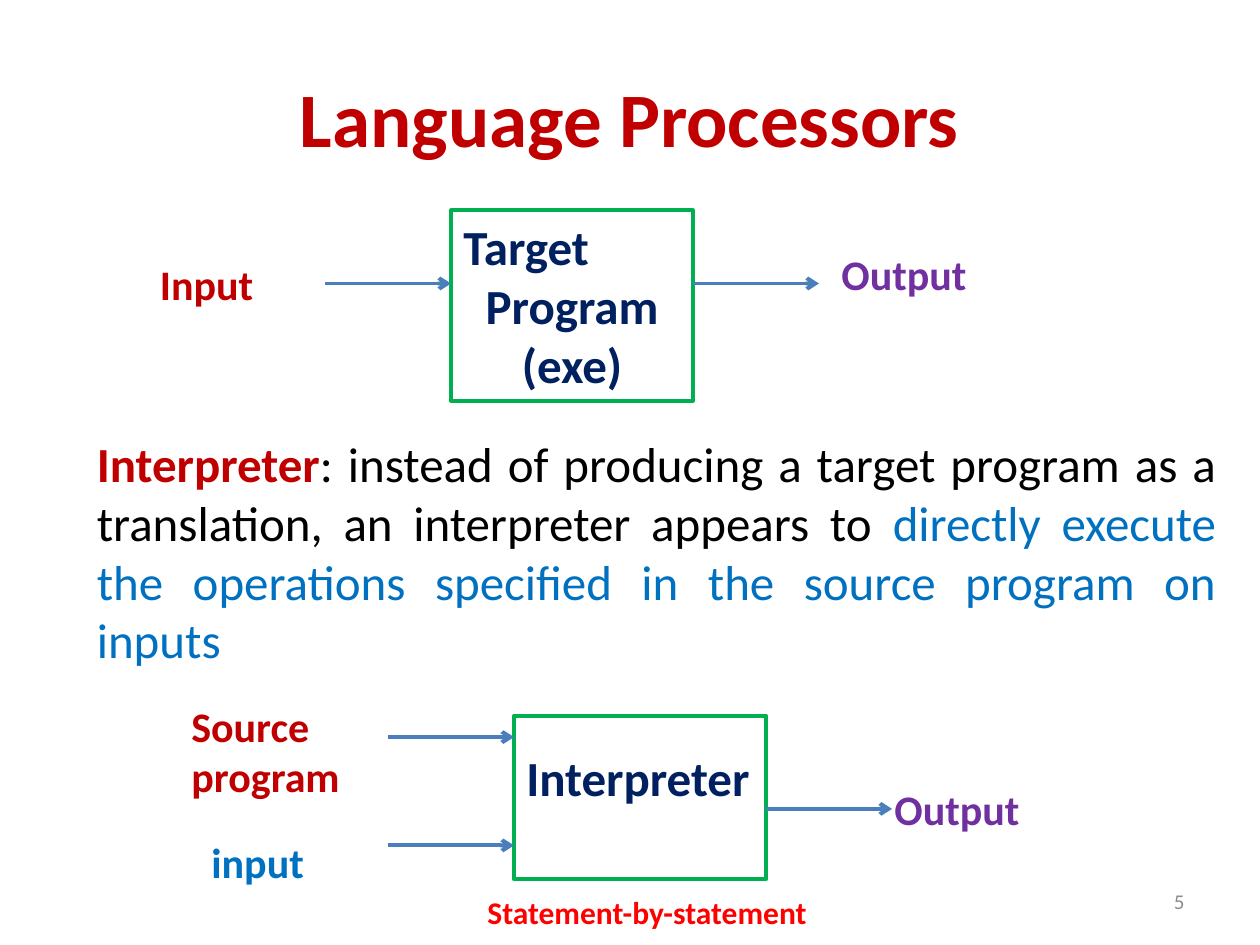
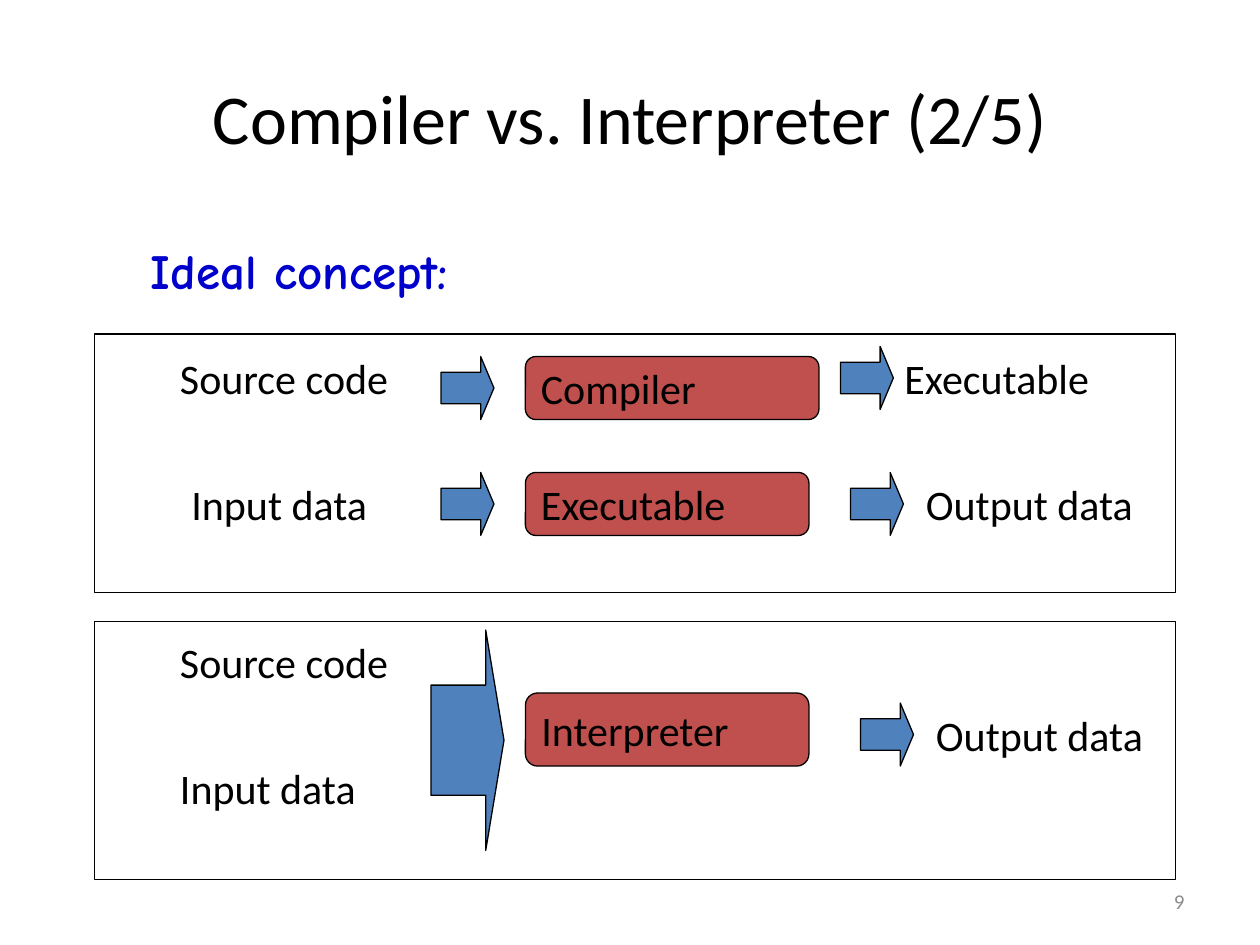
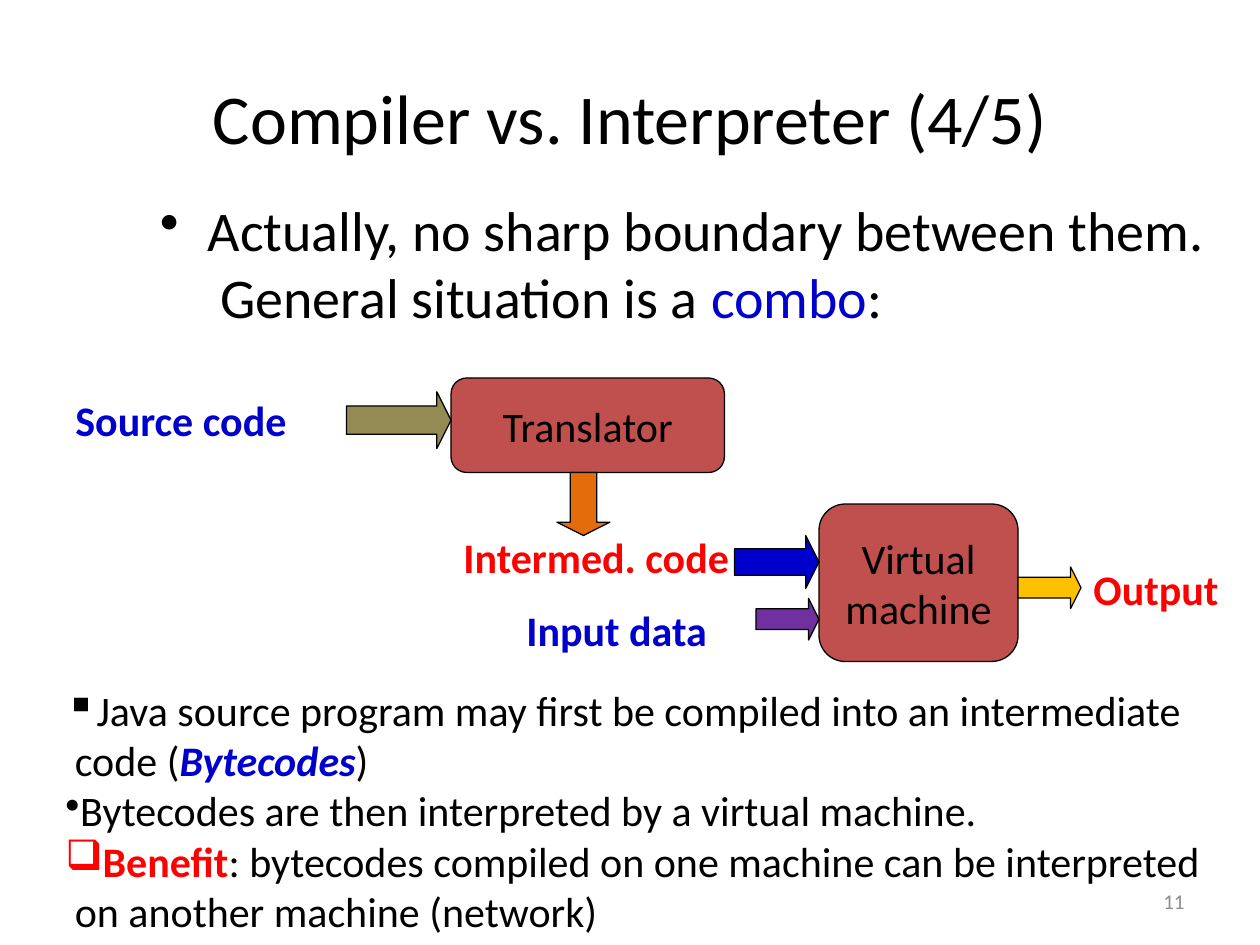
from lxml import etree
from pptx import Presentation
from pptx.dml.color import RGBColor
from pptx.enum.shapes import MSO_CONNECTOR, MSO_SHAPE as SHAPE
from pptx.enum.text import MSO_ANCHOR as ANCHOR, PP_ALIGN as ALIGN
from pptx.oxml.ns import qn
from pptx.util import Inches, Pt

COLORS = {
    "black": "000000", "gray": "8C8C8C", "dark_red": "C00000", "red": "FF0000",
    "navy": "002060", "blue": "0070C0", "royal": "0000CC", "purple": "7030A0",
    "green": "00B050", "line_blue": "4B7EBC", "arrow_blue": "4F81BD",
    "brick": "C0504D", "olive": "948A54", "orange": "E46C0A", "amber": "FFC000",
}


def rgb(name):
    """Return the named colour."""
    return RGBColor.from_string(COLORS[name])


class Deck:
    """Holds the presentation, its style and the current slide."""

    def __init__(self):
        """Start an empty 10 by 7.5 inch presentation."""
        self.prs = Presentation()
        self.prs.slide_width, self.prs.slide_height = Inches(10), Inches(7.5)
        self.s = None

    def slide(self, title, number, size=40, color="black", bold=False):
        """Add a slide with its title and page number."""
        self.s = self.prs.slides.add_slide(self.prs.slide_layouts[6])
        self.text(0.5, 0.3, 9, 1.25, [title], size, color, bold,
                  align=ALIGN.CENTER, anchor=ANCHOR.MIDDLE)
        self.text(7.17, 6.95, 2.33, 0.4, [str(number)], 12, "gray",
                  align=ALIGN.RIGHT, anchor=ANCHOR.MIDDLE)

    def set_text(self, sp, paragraphs, size=24, color="black", bold=False,
                 align=ALIGN.LEFT, anchor=ANCHOR.TOP, wrap=True, font="Calibri"):
        """Fill a shape with paragraphs: strings, or lists of (text, style) runs."""
        tf = sp.text_frame
        tf.word_wrap, tf.vertical_anchor = wrap, anchor
        for i, runs in enumerate(paragraphs):
            p = tf.paragraphs[0] if i == 0 else tf.add_paragraph()
            p.alignment = align
            p.font.name, p.font.size, p.font.bold = font, Pt(size), bold
            p.font.color.rgb = rgb(color)
            for text, style in [(runs, {})] if isinstance(runs, str) else runs:
                if text == "\n":
                    p.add_line_break()
                    continue
                r = p.add_run()
                r.text = text
                if "color" in style:
                    r.font.color.rgb = rgb(style["color"])
                if "bold" in style:
                    r.font.bold = style["bold"]
                if "italic" in style:
                    r.font.italic = style["italic"]
        return tf

    def text(self, x, y, w, h, paragraphs, *args, **style):
        """Add a text box."""
        sp = self.s.shapes.add_textbox(Inches(x), Inches(y), Inches(w), Inches(h))
        return self.set_text(sp, paragraphs, *args, **style)

    def label(self, x, y, w, text, color="black", bold=False, wrap=True):
        """Add a one-line diagram label."""
        self.text(x, y, w, 0.5, [text], 24, color, bold, wrap=wrap)

    def shape(self, kind, x, y, w, h, fill=None, line="black", width=0.75):
        """Add a preset shape; without a fill colour it is see-through."""
        sp = self.s.shapes.add_shape(kind, Inches(x), Inches(y), Inches(w), Inches(h))
        sp.shadow.inherit = False
        if fill:
            sp.fill.solid()
            sp.fill.fore_color.rgb = rgb(fill)
        else:
            sp.fill.background()
        sp.line.color.rgb, sp.line.width = rgb(line), Pt(width)
        return sp

    def frame(self, x, y, w, h, paragraphs):
        """Add a green outlined box with navy text."""
        sp = self.shape(SHAPE.RECTANGLE, x, y, w, h, line="green", width=2.25)
        return self.set_text(sp, paragraphs, 28, "navy", True)

    def stage(self, x, y, w, h, paragraphs, align=ALIGN.LEFT):
        """Add a rounded processing stage."""
        sp = self.shape(SHAPE.ROUNDED_RECTANGLE, x, y, w, h, "brick")
        self.set_text(sp, paragraphs, align=align, anchor=ANCHOR.MIDDLE)

    def block_arrow(self, x, y, w=0.42, h=0.5, fill="arrow_blue", rotation=0):
        """Add a block arrow that points right before rotation."""
        sp = self.shape(SHAPE.RIGHT_ARROW, x, y, w, h, fill)
        sp.adjustments[0], sp.adjustments[1] = 0.5, 0.25
        sp.rotation = rotation

    def arrow(self, x, y, length=1):
        """Add a thin horizontal arrow."""
        c = self.s.shapes.add_connector(MSO_CONNECTOR.STRAIGHT, Inches(x), Inches(y),
                                        Inches(x + length), Inches(y))
        c.line.color.rgb, c.line.width = rgb("line_blue"), Pt(2.25)
        etree.SubElement(c.line._get_or_add_ln(), qn("a:tailEnd"), type="arrow")
        etree.SubElement(c._element.spPr, qn("a:effectLst"))

    def indent(self, p, left=0, first=0, bullet=None):
        """Set a paragraph's indents in inches and its bullet."""
        pPr = p._p.get_or_add_pPr()
        pPr.set("marL", str(Inches(left)))
        pPr.set("indent", str(Inches(first)))
        if bullet:
            bu = etree.Element(qn("a:buChar"), char=bullet)
            pPr.insert_element_before(bu, "a:tabLst", "a:defRPr", "a:extLst")


def language_processors(d):
    """Build the slide on running a target program and on interpreters."""
    d.slide("Language Processors", 5, 44, "dark_red", True)

    tf = d.frame(3.58, 1.67, 1.92, 1.51, ["Target", "Program (exe)"])
    tf.paragraphs[1].alignment = ALIGN.CENTER
    d.label(1.17, 2, 1.42, "Input", "dark_red", True)
    d.label(6.58, 1.92, 1.42, "Output", "purple", True)

    d.text(0.67, 3.39, 9.08, 1.99, [[
        ("Interpreter", {"color": "dark_red", "bold": True}),
        (": instead of producing a target program as a translation, "
         "an interpreter appears to ", {}),
        ("directly execute the operations specified in the source program on inputs",
         {"color": "blue"}),
    ]], 28, align=ALIGN.JUSTIFY)

    tf = d.frame(4.08, 5.68, 2, 1.3, ["Interpreter"])
    tf.margin_top = Inches(0.25)
    d.text(1.42, 5.51, 1.42, 0.91, ["Source program"], 24, "dark_red", True)
    d.label(1.58, 6.59, 1.42, "input", "blue", True)
    d.label(7, 6.17, 1.42, "Output", "purple", True)
    d.text(3.77, 7.04, 2.77, 0.4, ["Statement-by-statement"], 18, "red", True, wrap=False)

    for x, y in [(2.58, 2.25), (5.5, 2.25), (3.08, 5.85), (3.08, 6.71), (6.08, 6.42)]:
        d.arrow(x, y)


def ideal_concept(d):
    """Build the slide that sets compiler and interpreter side by side."""
    d.slide("Compiler vs. Interpreter (2/5)", 9)
    tf = d.text(0.6, 1.86, 8.5, 0.6, ["Ideal concept:"], 28, "royal", True,
                font="Comic Neue")
    d.indent(tf.paragraphs[0], 0.81, -0.31)

    for y in (2.65, 4.93):
        d.shape(SHAPE.RECTANGLE, 0.75, y, 8.58, 2.05)

    for x, y, text in [(1.33, 2.75, "Source code"), (7.08, 2.75, "Executable"),
                       (1.42, 3.75, "Input data"), (7.25, 3.75, "Output data"),
                       (1.33, 5, "Source code"), (1.33, 6, "Input data"),
                       (7.33, 5.58, "Output data")]:
        d.label(x, y, 2.25, text)

    for y, w, h, text in [(2.83, 2.33, 0.5, "Compiler"), (3.75, 2.25, 0.5, "Executable"),
                          (5.5, 2.25, 0.58, "Interpreter")]:
        d.stage(4.17, y, w, h, [text])

    for x, y in [(3.5, 2.83), (6.67, 2.75), (3.5, 3.75), (6.75, 3.75), (6.83, 5.58)]:
        d.block_arrow(x, y)
    d.block_arrow(3.42, 5, 0.58, 1.75)


def combined_approach(d):
    """Build the slide on translators combined with virtual machines."""
    d.slide("Compiler vs. Interpreter (4/5)", 11)
    tf = d.text(1.17, 1.5, 8.5, 1.2, [[
        ("Actually, no sharp boundary between them.", {}), ("\n", {}),
        (" General situation is a ", {}), ("combo", {"color": "royal"}), (":", {}),
    ]], 32)
    d.indent(tf.paragraphs[0], 0.38, -0.38, "•")

    d.stage(3.58, 3, 2.17, 0.75, ["Translator"], ALIGN.CENTER)
    d.stage(6.5, 4, 1.58, 1.25, ["Virtual", "machine"], ALIGN.CENTER)

    d.label(0.5, 3.08, 2.25, "Source code", "royal", True)
    d.label(3.58, 4.17, 2.67, "Intermed. code", "red", True)
    d.label(4.08, 4.75, 1.83, "Input data", "royal", True)
    d.label(8.58, 4.42, 1.2, "Output", "red", True, wrap=False)

    d.block_arrow(2.75, 3.11, 0.83, 0.45, "olive")
    d.block_arrow(4.38, 3.79, 0.5, 0.42, "orange", 90)
    d.block_arrow(6, 4.75, 0.5, 0.33, "purple")
    d.block_arrow(5.83, 4.25, 0.67, 0.42, "royal")
    d.block_arrow(8.08, 4.5, 0.5, 0.33, "amber")

    tf = d.text(0.42, 5.38, 9.27, 2.12, [
        "Java source program may first be compiled into an intermediate",
        [(" code (", {}),
         ("Bytecodes", {"color": "royal", "bold": True, "italic": True}), (")", {})],
        "Bytecodes are then interpreted by a virtual machine.",
        [("Benefit", {"color": "red", "bold": True}),
         (": bytecodes compiled on one machine can be interpreted", {})],
        " on another machine (network)",
    ], wrap=False)
    for p, bullet in zip(tf.paragraphs, ["▪", None, "•", "❑", None]):
        d.indent(p, bullet=bullet)


deck = Deck()
language_processors(deck)
ideal_concept(deck)
combined_approach(deck)
deck.prs.save("out.pptx")
